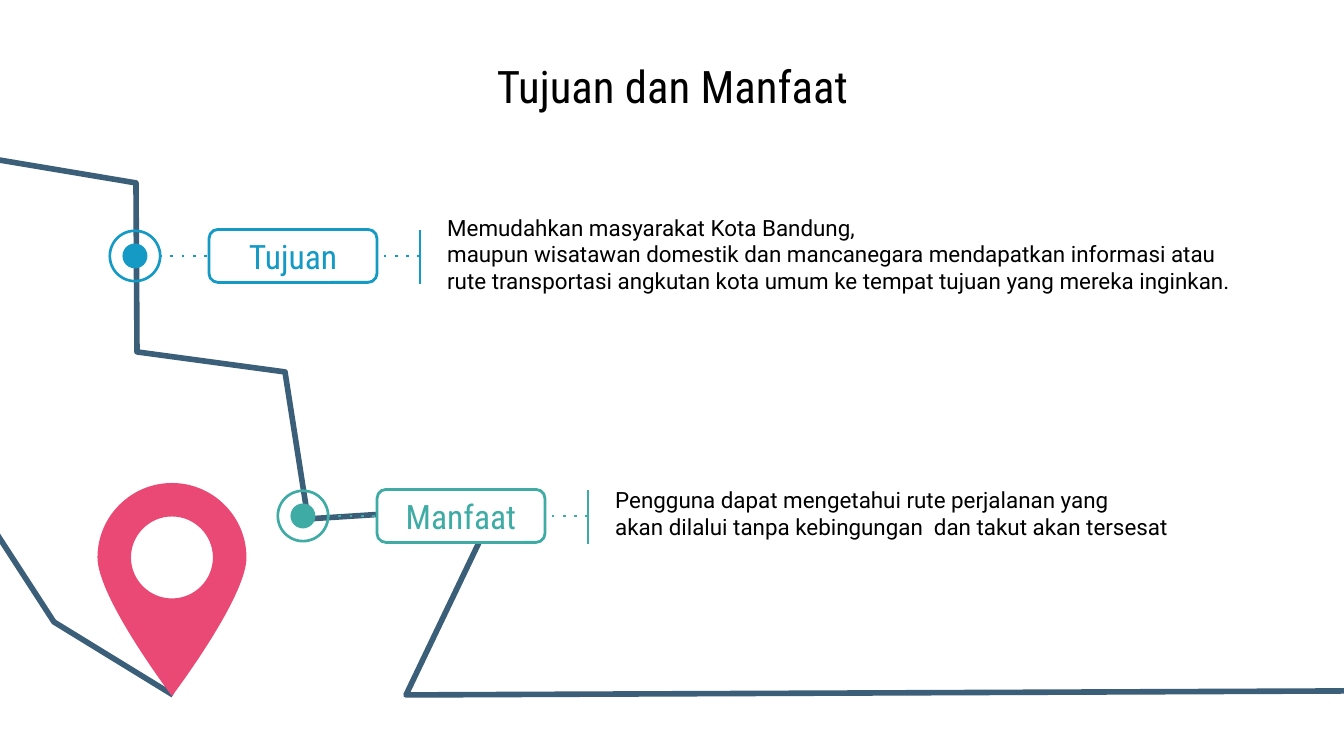
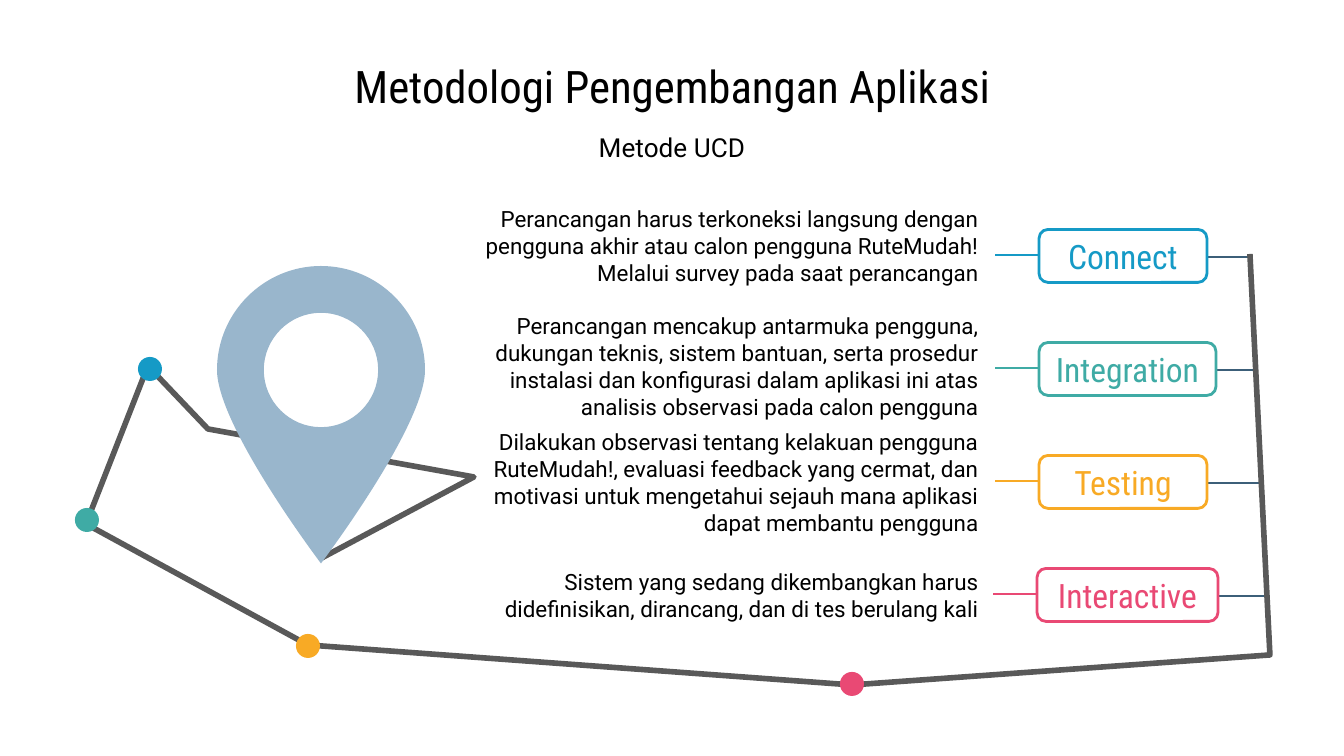
"""Build two route-map slides: goals and benefits, then the development method."""
import pptx
import pptx.dml.color
import pptx.enum.dml
import pptx.enum.shapes
import pptx.enum.text
import pptx.oxml
import pptx.oxml.ns
import pptx.util

WIDTH, HEIGHT = 1344, 756
SCALE = 914400 * 10 / WIDTH

BLACK, WHITE = "000000", "FFFFFF"
BLUE, TEAL, AMBER, PINK = "159AC6", "3FABA5", "F8AA25", "E94974"
NAVY, GREY, PALE = "3C5F79", "595959", "99B6CC"

SHAPES = pptx.enum.shapes.MSO_SHAPE
ALIGN = pptx.enum.text.PP_ALIGN
ANCHOR = pptx.enum.text.MSO_ANCHOR

TITLE = {"name": "Roboto Condensed", "size": pptx.util.Pt(24)}
LABEL = {"name": "Roboto Condensed", "size": pptx.util.Pt(18)}
SUBTITLE = {"name": "Roboto", "size": pptx.util.Pt(14)}
BODY = {"name": "Roboto", "size": pptx.util.Pt(12)}
INSET = pptx.util.Inches(0.1)
FRAME = {
    "word_wrap": True,
    "margin_left": INSET,
    "margin_right": INSET,
    "margin_top": INSET,
    "margin_bottom": INSET,
}

TITLE_AREA = (313, 58, 719, 56)
SUBTITLE_AREA = (564, 118, 216, 56)
LABEL_WIDTH, LABEL_HEIGHT = 168, 53
THIN, THICK = 1.5, 3

GOALS = {
    "title": "Tujuan dan Manfaat",
    "routes": [
        [(-7, 159), (136, 183), (137, 352), (285, 372), (308, 519),
         (496, 507), (406, 695), (1347, 691)],
        [(173, 695), (54, 622), (-7, 528)],
    ],
    "pin": (172, 483, 149),
    "stops": [
        {"label": "Tujuan", "colour": BLUE, "centre": (135, 256),
         "text_centre": 254, "text_size": (821, 110),
         "text": ["Memudahkan masyarakat Kota Bandung,",
                  "maupun wisatawan domestik dan mancanegara mendapatkan informasi atau "
                  "rute transportasi angkutan kota umum ke tempat tujuan yang mereka "
                  "inginkan."]},
        {"label": "Manfaat", "colour": TEAL, "centre": (303, 516),
         "text_centre": 513, "text_size": (637, 63),
         "text": ["Pengguna dapat mengetahui rute perjalanan yang",
                  "akan dilalui tanpa kebingungan  dan takut akan tersesat"]},
    ],
}

METHOD = {
    "title": "Metodologi Pengembangan Aplikasi",
    "subtitle": "Metode UCD",
    "route": [(320, 559), (474, 477), (208, 429), (148, 366), (86, 524),
              (308, 645), (852, 685), (1270, 655), (1250, 254)],
    "pin": (321, 266, 208),
    "dots": [((87, 520), TEAL), ((308, 646), AMBER), ((852, 684), PINK), ((150, 369), BLUE)],
    "steps": [
        {"label": "Connect", "colour": BLUE, "left": 1039, "width": 168,
         "text_centre": 246, "text_size": (525, 85),
         "text": "Perancangan harus terkoneksi langsung dengan pengguna akhir atau calon "
                 "pengguna RuteMudah! Melalui survey pada saat perancangan"},
        {"label": "Integration", "colour": TEAL, "left": 1039, "width": 177,
         "text_centre": 366, "text_size": (567, 70),
         "text": "Perancangan mencakup antarmuka pengguna, dukungan teknis, sistem bantuan, "
                 "serta prosedur instalasi dan konfigurasi dalam aplikasi ini atas analisis "
                 "observasi pada calon pengguna"},
        {"label": "Testing", "colour": AMBER, "left": 1039, "width": 168,
         "text_centre": 482, "text_size": (536, 63),
         "text": "Dilakukan observasi tentang kelakuan pengguna RuteMudah!, evaluasi "
                 "feedback yang cermat, dan motivasi untuk mengetahui sejauh mana aplikasi "
                 "dapat membantu pengguna"},
        {"label": "Interactive", "colour": PINK, "left": 1037, "width": 181,
         "text_centre": 595, "text_size": (513, 63),
         "text": "Sistem yang sedang dikembangkan harus didefinisikan, dirancang, dan di "
                 "tes berulang kali"},
    ],
}
FIRST_STEP, STEP_PITCH, TEXT_RIGHT = 256, 113, 992


def emu(*lengths):
    return [round(length * SCALE) for length in lengths]


def rgb(colour):
    return pptx.dml.color.RGBColor.from_string(colour)


def assign(target, values):
    for name, value in values.items():
        setattr(target, name, value)


def stroke(line, colour, weight):
    line.fill.solid()
    line.fill.fore_color.rgb = rgb(colour)
    line.width = pptx.util.Pt(weight)


def paint(shape, fill=None, line=None, weight=THIN):
    shape.shadow.inherit = False
    if fill:
        shape.fill.solid()
        shape.fill.fore_color.rgb = rgb(fill)
    else:
        shape.fill.background()
    if line:
        stroke(shape.line, line, weight)
    else:
        shape.line.fill.background()


def write(shape, lines, font, align, colour=BLACK, anchor=ANCHOR.MIDDLE):
    frame = shape.text_frame
    assign(frame, FRAME)
    frame.vertical_anchor = anchor
    for index, line in enumerate(lines):
        para = frame.paragraphs[0] if index == 0 else frame.add_paragraph()
        para.alignment = align
        span = para.add_run()
        span.text = line
        assign(span.font, font)
        span.font.color.rgb = rgb(colour)


def add_text(page, area, lines, font, align, **options):
    write(page.shapes.add_textbox(*emu(*area)), lines, font, align, **options)


def add_title(page, title):
    add_text(page, TITLE_AREA, [title], TITLE, ALIGN.CENTER)


def add_label(page, left, middle, text, colour, width=LABEL_WIDTH):
    area = emu(left, middle - LABEL_HEIGHT / 2, width, LABEL_HEIGHT)
    box = page.shapes.add_shape(SHAPES.ROUNDED_RECTANGLE, *area)
    box.adjustments[0] = 0.17
    paint(box, WHITE, colour)
    write(box, [text], LABEL, ALIGN.CENTER, colour=colour)


def add_line(page, start, end, colour, dotted=False):
    straight = pptx.enum.shapes.MSO_CONNECTOR.STRAIGHT
    line = page.shapes.add_connector(straight, *emu(*start, *end))
    stroke(line.line, colour, THIN)
    if dotted:
        line.line.dash_style = pptx.enum.dml.MSO_LINE.ROUND_DOT
        line.element.find(".//" + pptx.oxml.ns.qn("a:prstDash")).set("val", "dot")
    effects = pptx.oxml.parse_xml(f"<a:effectLst {pptx.oxml.ns.nsdecls('a')}/>")
    line.element.spPr.append(effects)


def add_disc(page, centre, diameter, colour, kind=SHAPES.OVAL):
    x, y = centre
    area = emu(x - diameter / 2, y - diameter / 2, diameter, diameter)
    disc = page.shapes.add_shape(kind, *area)
    paint(disc, colour)
    return disc


def add_outline(page, contours, closed):
    first, *others = [[emu(*point) for point in contour] for contour in contours]
    builder = page.shapes.build_freeform(*first[0], scale=1.0)
    builder.add_line_segments(first[1:], close=closed)
    for contour in others:
        builder.move_to(*contour[0])
        builder.add_line_segments(contour[1:], close=closed)
    return builder.convert_to_shape()


def add_route(page, points, colour):
    paint(add_outline(page, [points], False), line=colour, weight=THICK)


def bend(shape):
    qn = pptx.oxml.ns.qn
    lines = list(shape.element.iter(qn("a:lnTo")))
    for first, second, third in zip(lines[::3], lines[1::3], lines[2::3]):
        curve = pptx.oxml.parse_xml(f"<a:cubicBezTo {pptx.oxml.ns.nsdecls('a')}/>")
        first.addprevious(curve)
        for line in (first, second, third):
            curve.append(line.find(qn("a:pt")))
            line.getparent().remove(line)


def cap(x, y, radius, side):
    pull = 0.55 * radius
    return [(x - radius, y - side * pull), (x - pull, y - side * radius), (x, y - side * radius),
            (x + pull, y - side * radius), (x + radius, y - side * pull), (x + radius, y)]


def add_pin(page, x, top, width, colour):
    radius = width / 2
    middle, tip = top + radius, (x, top + 1.43 * width)
    shoulder = middle + 0.27 * width
    body = [(x - radius, middle), *cap(x, middle, radius, 1),
            (x + radius, shoulder), tip, tip,
            tip, (x - radius, shoulder), (x - radius, middle)]
    inner = 0.55 * radius
    hole = [(x - inner, middle), *cap(x, middle, inner, 1),
            *cap(x, middle, inner, -1)[-2::-1], (x - inner, middle)]
    pin = add_outline(page, [body, hole], True)
    bend(pin)
    paint(pin, colour)


def add_stop(page, stop):
    x, y = stop["centre"]
    colour = stop["colour"]
    bar = x + 285
    width, height = stop["text_size"]
    add_line(page, (bar, y), (x + 26, y), colour, dotted=True)
    add_disc(page, (x, y), 25, colour)
    add_disc(page, (x, y), 53, colour, SHAPES.DONUT).adjustments[0] = 0.05
    add_line(page, (bar, y - 26), (bar, y + 28), colour)
    add_label(page, x + 74, y, stop["label"], colour)
    area = (bar + 14, stop["text_centre"] - height / 2, width, height)
    add_text(page, area, stop["text"], BODY, ALIGN.LEFT)


def add_step(page, middle, step):
    left, colour = step["left"], step["colour"]
    width, height = step["text_size"]
    area = (TEXT_RIGHT - width, step["text_centre"] - height / 2, width, height)
    add_text(page, area, [step["text"]], BODY, ALIGN.RIGHT)
    add_label(page, left, middle, step["label"], colour, step["width"])
    add_line(page, (left, middle - 1), (left - 44, middle - 1), colour)


def build_goals(page):
    for route in GOALS["routes"]:
        add_route(page, route, NAVY)
    add_pin(page, *GOALS["pin"], PINK)
    add_title(page, GOALS["title"])
    for stop in GOALS["stops"]:
        add_stop(page, stop)


def build_method(page):
    middles = [FIRST_STEP + STEP_PITCH * index for index in range(len(METHOD["steps"]))]
    for index, middle in enumerate(middles):
        add_line(page, (1251 + 5 * index, middle + 1), (1207, middle + 1), NAVY)
    add_route(page, METHOD["route"], GREY)
    add_pin(page, *METHOD["pin"], PALE)
    for centre, colour in METHOD["dots"]:
        add_disc(page, centre, 24, colour)
    add_title(page, METHOD["title"])
    add_text(page, SUBTITLE_AREA, [METHOD["subtitle"]], SUBTITLE, ALIGN.CENTER,
             anchor=ANCHOR.TOP)
    for middle, step in zip(middles, METHOD["steps"]):
        add_step(page, middle, step)


def main():
    deck = pptx.Presentation()
    deck.slide_width, deck.slide_height = emu(WIDTH, HEIGHT)
    for build in (build_goals, build_method):
        build(deck.slides.add_slide(deck.slide_layouts[6]))
    deck.save("out.pptx")


if __name__ == "__main__":
    main()
